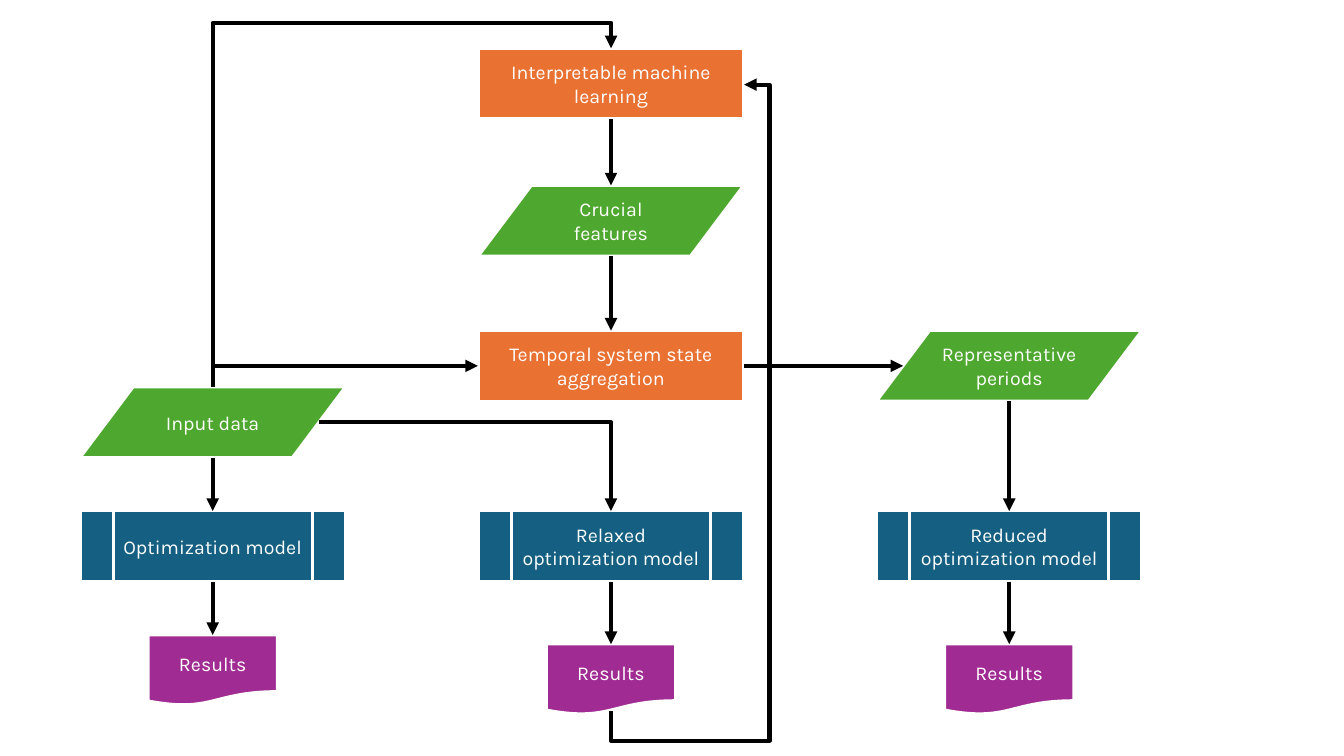
"""Build a flowchart slide linking optimization models with temporal aggregation."""
from dataclasses import dataclass

from lxml import etree
from pptx import Presentation
from pptx import util as u
from pptx.dml import color
from pptx.enum import shapes, text
from pptx.oxml import ns

COLORS = {
    "data": "4EA72E", "model": "156082", "results": "A02B93",
    "method": "E97132", "light": "FFFFFF", "arrow": "000000",
}
PRESETS = {
    "data": shapes.MSO_SHAPE.FLOWCHART_DATA,
    "model": shapes.MSO_SHAPE.FLOWCHART_PREDEFINED_PROCESS,
    "results": shapes.MSO_SHAPE.FLOWCHART_DOCUMENT,
    "method": shapes.MSO_SHAPE.RECTANGLE,
}
WIDTHS = {"data": 2.63, "model": 2.63, "results": 1.28, "method": 2.63}
STEP_HEIGHT = 0.7
LEFT_COLUMN, MIDDLE_COLUMN, RIGHT_COLUMN = (2.11 + 3.95 * i for i in range(3))
TOP, LEFT, BOTTOM, RIGHT = range(4)
FRAME_FORMAT = {"word_wrap": True, "vertical_anchor": text.MSO_ANCHOR.MIDDLE}
FONT_FORMAT = {"name": "Karla", "size": u.Pt(14)}


@dataclass(frozen=True)
class Step:
    """A flowchart step, placed by the centre of its column and its top."""
    key: str
    kind: str
    label: str
    center: float
    top: float


@dataclass(frozen=True)
class Link:
    """A straight arrow between the sides of two steps."""
    source: str
    source_side: int
    target: str
    target_side: int


@dataclass(frozen=True)
class Bend:
    """An elbow arrow, turned when it leaves its source vertically."""
    start: tuple[float, float]
    end: tuple[float, float]
    preset: str
    turned: bool = True
    adjustments: tuple[int, ...] = ()


STEPS = [
    Step("input", "data", "Input data", LEFT_COLUMN, 3.84),
    Step("full model", "model", "Optimization model", LEFT_COLUMN, 5.07),
    Step("full results", "results", "Results", LEFT_COLUMN, 6.3),
    Step("learning", "method", "Interpretable machine learning", MIDDLE_COLUMN, 0.48),
    Step("features", "data", "Crucial features", MIDDLE_COLUMN, 1.84),
    Step("aggregation", "method", "Temporal system state aggregation", MIDDLE_COLUMN, 3.28),
    Step("relaxed model", "model", "Relaxed\noptimization model", MIDDLE_COLUMN, 5.07),
    Step("relaxed results", "results", "Results", MIDDLE_COLUMN, 6.39),
    Step("periods", "data", "Representative periods", RIGHT_COLUMN, 3.28),
    Step("reduced model", "model", "Reduced optimization model", RIGHT_COLUMN, 5.07),
    Step("reduced results", "results", "Results", RIGHT_COLUMN, 6.39),
]
DOWNWARD = [
    ("input", "full model"), ("full model", "full results"),
    ("learning", "features"), ("features", "aggregation"),
    ("relaxed model", "relaxed results"),
    ("periods", "reduced model"), ("reduced model", "reduced results"),
]
LINKS = [Link(source, BOTTOM, target, TOP) for source, target in DOWNWARD]
LINKS.append(Link("aggregation", RIGHT, "periods", LEFT))
BENDS = [
    Bend((6.06, 7.05), (7.38, 0.84), "bentConnector4", adjustments=(-4800, 119000)),
    Bend((3.16, 4.19), (6.06, 5.07), "bentConnector2", turned=False),
    Bend((2.11, 3.84), (6.06, 0.48), "bentConnector3", adjustments=(107500,)),
    Bend((2.11, 3.84), (4.74, 3.63), "bentConnector2"),
]


def apply_format(target: object, values: dict) -> None:
    """Set each named attribute on the target."""
    for name, value in values.items():
        setattr(target, name, value)


def rgb(name: str) -> color.RGBColor:
    """Look up a named colour."""
    return color.RGBColor.from_string(COLORS[name])


def draw_step(slide, step: Step):
    """Draw one step with its centred label and return its shape."""
    width = WIDTHS[step.kind]
    box = slide.shapes.add_shape(
        PRESETS[step.kind], u.Inches(step.center - width / 2), u.Inches(step.top),
        u.Inches(width), u.Inches(STEP_HEIGHT))
    box.shadow.inherit = False
    box.fill.solid()
    box.fill.fore_color.rgb = rgb(step.kind)
    box.line.color.rgb = rgb("light")
    box.line.width = u.Pt(2)
    apply_format(box.text_frame, FRAME_FORMAT)
    box.text_frame.text = step.label
    for paragraph in box.text_frame.paragraphs:
        paragraph.alignment = text.PP_ALIGN.CENTER
        apply_format(paragraph.runs[0].font, FONT_FORMAT)
        paragraph.runs[0].font.color.rgb = rgb("light")
    return box


def side_point(step: Step, side: int) -> tuple[float, float]:
    """Find the middle of a side, allowing for the slant of data steps."""
    width = WIDTHS[step.kind]
    reach = width * (0.4 if step.kind == "data" else 0.5)
    middle = step.top + STEP_HEIGHT / 2
    return {
        TOP: (step.center, step.top),
        LEFT: (step.center - reach, middle),
        BOTTOM: (step.center, step.top + STEP_HEIGHT),
        RIGHT: (step.center + reach, middle),
    }[side]


def draw_arrow(slide, kind, start: tuple[float, float], end: tuple[float, float]):
    """Draw a black connector with a triangular head at its end."""
    arrow = slide.shapes.add_connector(kind, *(u.Inches(v) for v in (*start, *end)))
    arrow.line.color.rgb = rgb("arrow")
    arrow.line.width = u.Pt(3)
    etree.SubElement(arrow.line._get_or_add_ln(), ns.qn("a:tailEnd"), type="triangle")
    etree.SubElement(arrow._element.spPr, ns.qn("a:effectLst"))
    return arrow


def draw_link(slide, link: Link, steps: dict, boxes: dict) -> None:
    """Draw a straight arrow and join it to the steps with four sides."""
    source, target = steps[link.source], steps[link.target]
    arrow = draw_arrow(slide, shapes.MSO_CONNECTOR.STRAIGHT,
                       side_point(source, link.source_side),
                       side_point(target, link.target_side))
    if source.kind != "data":
        arrow.begin_connect(boxes[source.key], link.source_side)
    if target.kind != "data":
        arrow.end_connect(boxes[target.key], link.target_side)


def draw_bend(slide, bend: Bend) -> None:
    """Draw an elbow arrow with its own route."""
    (x1, y1), (x2, y2) = start, end = bend.start, bend.end
    if bend.turned:
        x, y = (x1 + x2) / 2, (y1 + y2) / 2
        half_width, half_height = abs(y2 - y1) / 2, abs(x2 - x1) / 2
        start = (x + half_width, y + half_height)
        end = (x - half_width, y - half_height)
    arrow = draw_arrow(slide, shapes.MSO_CONNECTOR.ELBOW, start, end)
    properties = arrow._element.spPr
    if bend.turned:
        properties.find(ns.qn("a:xfrm")).set("rot", "5400000")
    geometry = properties.find(ns.qn("a:prstGeom"))
    geometry.set("prst", bend.preset)
    guides = geometry.find(ns.qn("a:avLst"))
    names = ["adj"] if bend.preset == "bentConnector3" else ["adj1", "adj2"]
    for name, value in zip(names, bend.adjustments):
        guide_name = "adj1" if name == "adj" else name
        etree.SubElement(guides, ns.qn("a:gd"), name=guide_name, fmla=f"val {value}")


def main() -> None:
    """Assemble and save the slide."""
    deck = Presentation()
    apply_format(deck, {"slide_width": u.Inches(13.33), "slide_height": u.Inches(7.5)})
    slide = deck.slides.add_slide(deck.slide_layouts[6])
    steps = {step.key: step for step in STEPS}
    boxes = {step.key: draw_step(slide, step) for step in STEPS}
    for link in LINKS:
        draw_link(slide, link, steps, boxes)
    for bend in BENDS:
        draw_bend(slide, bend)
    deck.save("out.pptx")


if __name__ == "__main__":
    main()
